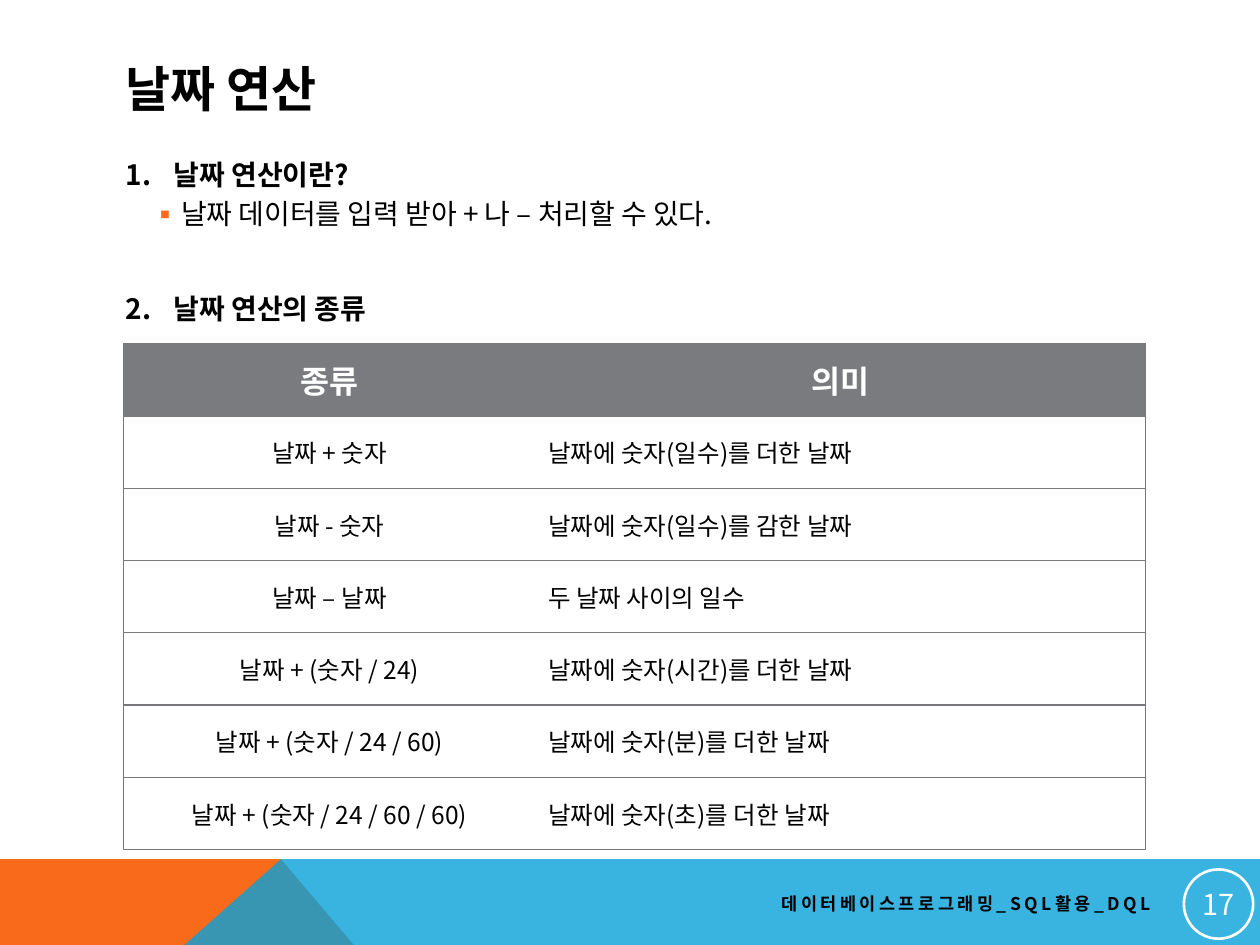
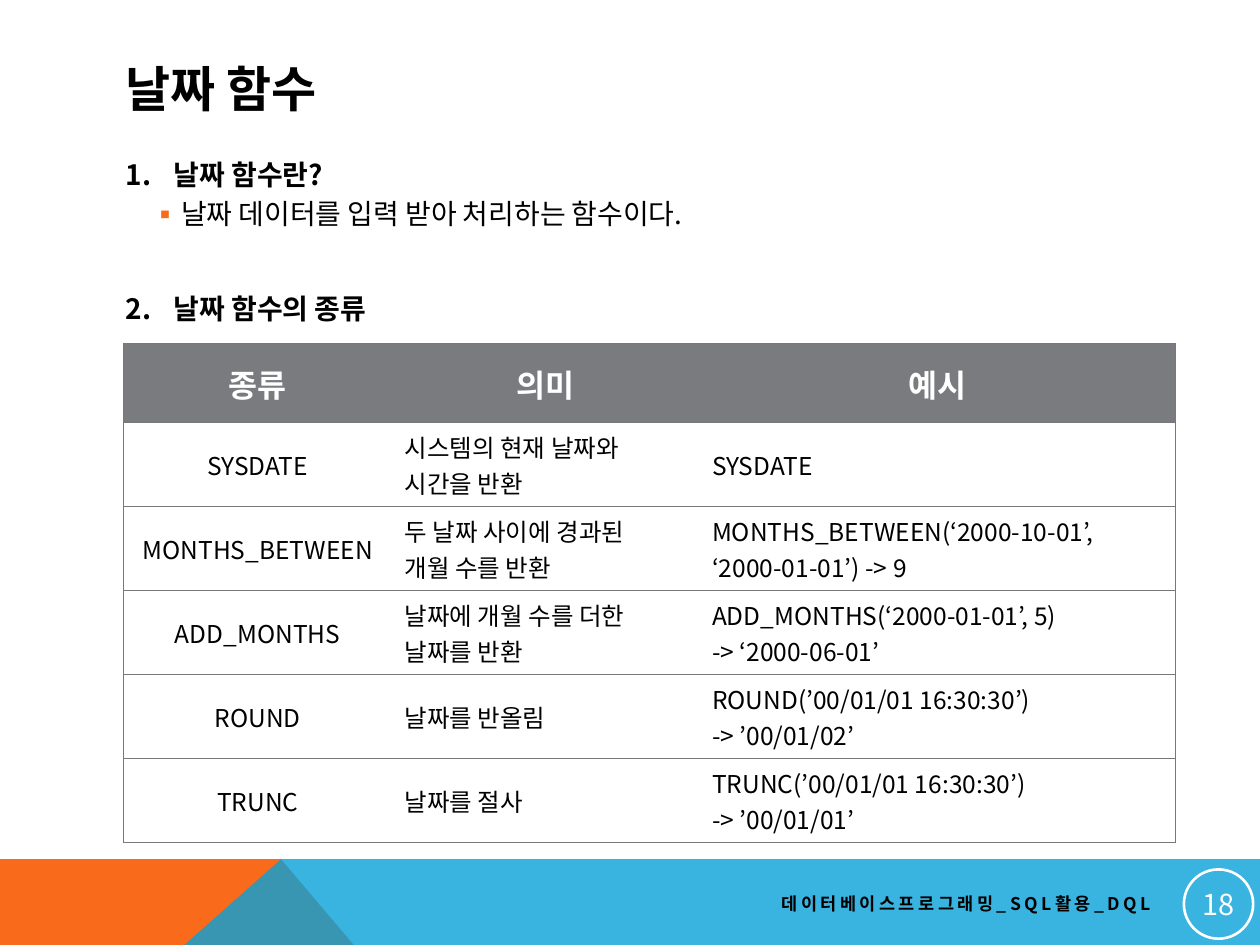
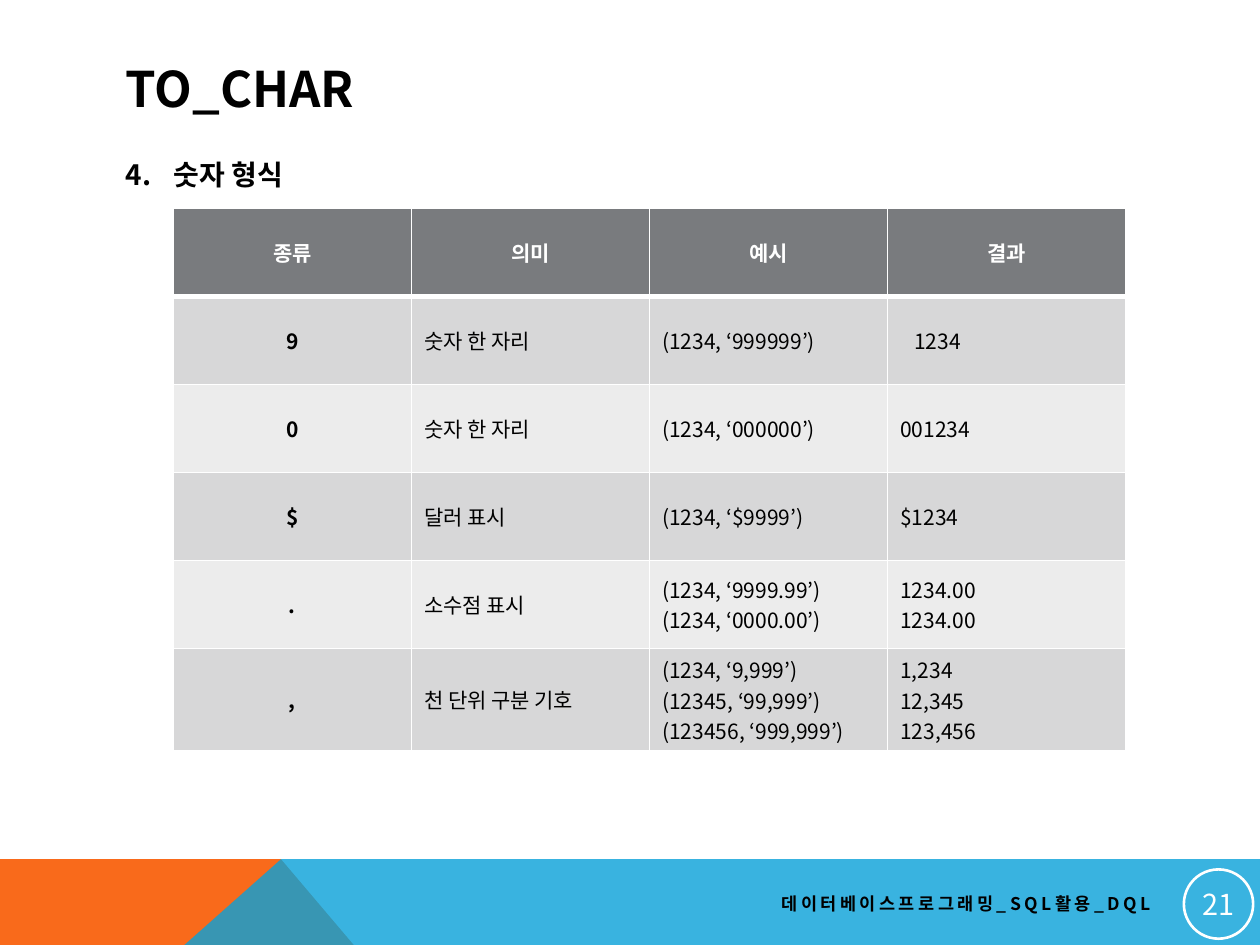
from dataclasses import dataclass

from lxml.etree import SubElement
from pptx import Presentation
from pptx.dml.color import RGBColor
from pptx.enum.shapes import MSO_SHAPE
from pptx.enum.text import MSO_ANCHOR, PP_ALIGN
from pptx.oxml.ns import qn
from pptx.util import Pt

FONT = "Noto Sans CJK KR"
BLACK, WHITE = "000000", "FFFFFF"
ORANGE, BLUE = "F96A1B", "08A1D9"
GRAY, RULE = "797B7E", "76787B"
BANDS = ("D7D7D8", "ECECEC")
NO_STYLE = "{2D5ABB26-0587-4C30-8999-92F81FD0307C}"
FOOTER = "데이터베이스프로그래밍_SQL활용_DQL"
LEFT, WIDTH = 64.8, 592
BAND_TOP, BAND_BOTTOM, BAND_PEAK = 491, 633.6, 160.6


@dataclass
class Item:
    """A body line: numbered, or a bullet when number is 0."""
    text: str
    number: int = 0
    before: float = 8


@dataclass
class Grid:
    """A table; in a cell, \\n starts a paragraph and \\v breaks a line."""
    left: float
    top: float
    cols: list[float]
    heights: list[float]
    rows: list[list[str]]
    head_size: float = 18
    size: float = 14
    banded: bool = False


@dataclass
class Page:
    """The content of one slide."""
    number: int
    title: str
    items: list[Item]
    grid: Grid


def rgb(value: str) -> RGBColor:
    """Turn a hex string into a colour."""
    return RGBColor.from_string(value)


def add_run(p, text: str, size: float, color: str = BLACK, bold: bool = False):
    """Add one formatted run to a paragraph."""
    r = p.add_run()
    r.text = text
    r.font.size, r.font.bold, r.font.name = Pt(size), bold, FONT
    r.font.color.rgb = rgb(color)
    SubElement(r._r.get_or_add_rPr(), qn("a:ea"), typeface=FONT)
    return r


def add_box(s, left: float, top: float, width: float, height: float,
            anchor=MSO_ANCHOR.MIDDLE):
    """Add a wrapping text box and return its text frame."""
    tf = s.shapes.add_textbox(Pt(left), Pt(top), Pt(width), Pt(height)).text_frame
    tf.word_wrap, tf.vertical_anchor = True, anchor
    return tf


def add_band(s, points: list[tuple[float, float]], color: str, opacity: int = 100):
    """Add a filled polygon without outline."""
    corners = [(Pt(x), Pt(y)) for x, y in points]
    builder = s.shapes.build_freeform(*corners[0], scale=1.0)
    builder.add_line_segments(corners[1:], close=True)
    sp = builder.convert_to_shape()
    sp.shadow.inherit = False
    sp.line.fill.background()
    sp.fill.solid()
    sp.fill.fore_color.rgb = rgb(color)
    if opacity < 100:
        clr = sp._element.spPr.find(qn("a:solidFill"))[0]
        SubElement(clr, qn("a:alpha"), val=str(opacity * 1000))


def add_frame(s, title: str, number: int) -> None:
    """Draw what all slides share: bands, title, footer and page number."""
    add_band(s, [(0, BAND_BOTTOM), (0, BAND_TOP), (BAND_PEAK, BAND_TOP),
                 (281.5, BAND_BOTTOM)], ORANGE)
    add_band(s, [(0, BAND_BOTTOM), (BAND_PEAK, BAND_TOP), (720, BAND_TOP),
                 (720, BAND_BOTTOM)], BLUE, 80)
    tf = add_box(s, LEFT, 28.8, WIDTH, 43.2)
    add_run(tf.paragraphs[0], title, 28, bold=True)

    p = add_box(s, 292.3, 505.4, 372.3, 21.6).paragraphs[0]
    p.alignment = PP_ALIGN.RIGHT
    r = add_run(p, FOOTER, 10, bold=True)
    r._r.get_or_add_rPr().set("spc", "200")

    sp = s.shapes.add_shape(MSO_SHAPE.OVAL, Pt(676.5), Pt(496.8), Pt(39.6), Pt(39.6))
    sp.shadow.inherit = False
    sp.fill.background()
    sp.line.color.rgb, sp.line.width = rgb(WHITE), Pt(1.5)
    tf = sp.text_frame
    tf.margin_left = tf.margin_right = tf.margin_top = tf.margin_bottom = Pt(0.7)
    tf.vertical_anchor = MSO_ANCHOR.MIDDLE
    p = tf.paragraphs[0]
    p.alignment = PP_ALIGN.CENTER
    add_run(p, str(number), 16.5, WHITE)


def set_indent(p, left: float, first: float = 0) -> None:
    """Set a paragraph's left margin and first line indent."""
    pPr = p._p.get_or_add_pPr()
    pPr.set("marL", str(Pt(left)))
    pPr.set("indent", str(Pt(first)))


def add_body(s, items: list[Item]) -> None:
    """Add the numbered headings and their bullets."""
    tf = add_box(s, LEFT, 86.4, WIDTH, 281.5, MSO_ANCHOR.TOP)
    for i, item in enumerate(items):
        p = tf.add_paragraph() if i else tf.paragraphs[0]
        p.line_spacing, p.space_before = 1.0, Pt(item.before)
        pPr = p._p.get_or_add_pPr()
        if item.number:
            set_indent(p, 27.4, -27.4)
            SubElement(pPr, qn("a:buFont"), typeface="+mj-lt")
            SubElement(pPr, qn("a:buAutoNum"), type="arabicPeriod",
                       startAt=str(item.number))
        else:
            p.level = 1
            set_indent(p, 31.7, -17.2)
            SubElement(SubElement(pPr, qn("a:buClr")), qn("a:srgbClr"), val=ORANGE)
            SubElement(pPr, qn("a:buFont"), typeface=FONT)
            SubElement(pPr, qn("a:buChar"), char="▪")
        add_run(p, item.text, 16, bold=item.number > 0)


def add_border(cell, side: str, color: str, width: float) -> None:
    """Draw one side (L, R, T or B) of a cell."""
    ln = SubElement(cell._tc.get_or_add_tcPr(), qn(f"a:ln{side}"), w=str(Pt(width)))
    SubElement(SubElement(ln, qn("a:solidFill")), qn("a:srgbClr"), val=color)


def add_borders(cell, row: int, col: int, grid: Grid) -> None:
    """Give a cell white gaps in a banded table, gray rules in a plain one."""
    for side in "LRTB":
        if grid.banded:
            under_head = (row, side) in ((0, "B"), (1, "T"))
            add_border(cell, side, WHITE, 3 if under_head else 1)
        elif (side in "TB" or (side == "L" and col == 0)
              or (side == "R" and col == len(grid.cols) - 1)):
            add_border(cell, side, RULE, 0.75)


def fill_cell(cell, text: str, row: int, col: int, grid: Grid) -> None:
    """Write and colour one cell."""
    head = row == 0
    add_borders(cell, row, col, grid)
    if head or grid.banded:
        cell.fill.solid()
        cell.fill.fore_color.rgb = rgb(GRAY if head else BANDS[(row - 1) % 2])
    cell.vertical_anchor = MSO_ANCHOR.MIDDLE
    tf = cell.text_frame
    for i, para in enumerate(text.split("\n")):
        p = tf.add_paragraph() if i else tf.paragraphs[0]
        p.alignment = PP_ALIGN.CENTER if head or col == 0 else PP_ALIGN.LEFT
        for j, line in enumerate(para.split("\v")):
            if j:
                p.add_line_break()
            add_run(p, line, grid.head_size if head else grid.size,
                    WHITE if head else BLACK, head or (grid.banded and col == 0))


def add_grid(s, grid: Grid):
    """Add a table and return it."""
    table = s.shapes.add_table(
        len(grid.rows), len(grid.cols), Pt(grid.left), Pt(grid.top),
        Pt(sum(grid.cols)), Pt(sum(grid.heights))).table
    table.first_row = table.horz_banding = False
    table._tbl.tblPr.find(qn("a:tableStyleId")).text = NO_STYLE
    for column, width in zip(table.columns, grid.cols):
        column.width = Pt(width)
    for i, (texts, height) in enumerate(zip(grid.rows, grid.heights)):
        table.rows[i].height = Pt(height)
        for j, text in enumerate(texts):
            fill_cell(table.cell(i, j), text, i, j, grid)
    return table


def add_page(prs, page: Page):
    """Build one slide and return its table."""
    s = prs.slides.add_slide(prs.slide_layouts[6])
    add_frame(s, page.title, page.number)
    add_body(s, page.items)
    return add_grid(s, page.grid)


ARITHMETIC = Page(
    17, "날짜 연산",
    [Item("날짜 연산이란?", 1),
     Item("날짜 데이터를 입력 받아 + 나 – 처리할 수 있다.", before=3),
     Item("날짜 연산의 종류", 2, before=35)],
    Grid(70.6, 196.5, [235.4, 348.5], [41.3] * 7, [
        ["종류", "의미"],
        ["날짜 + 숫자", "날짜에 숫자(일수)를 더한 날짜"],
        ["날짜 - 숫자", "날짜에 숫자(일수)를 감한 날짜"],
        ["날짜 – 날짜", "두 날짜 사이의 일수"],
        ["날짜 + (숫자 / 24)", "날짜에 숫자(시간)를 더한 날짜"],
        ["날짜 + (숫자 / 24 / 60)", "날짜에 숫자(분)를 더한 날짜"],
        ["날짜 + (숫자 / 24 / 60 / 60)", "날짜에 숫자(초)를 더한 날짜"],
    ]))

FUNCTIONS = Page(
    18, "날짜 함수",
    [Item("날짜 함수란?", 1),
     Item("날짜 데이터를 입력 받아 처리하는 함수이다.", before=3),
     Item("날짜 함수의 종류", 2, before=35)],
    Grid(70.6, 196.5, [153.4, 175.7, 272.1], [45.1] + [48] * 5, [
        ["종류", "의미", "예시"],
        ["SYSDATE", "시스템의 현재 날짜와\v시간을 반환", "SYSDATE"],
        ["MONTHS_BETWEEN", "두 날짜 사이에 경과된\v개월 수를 반환",
         "MONTHS_BETWEEN(‘2000-10-01’, ‘2000-01-01’) -> 9"],
        ["ADD_MONTHS", "날짜에 개월 수를 더한 \v날짜를 반환",
         "ADD_MONTHS(‘2000-01-01’, 5)\n-> ‘2000-06-01’"],
        ["ROUND", "날짜를 반올림", "ROUND(’00/01/01 16:30:30’)\n-> ’00/01/02’"],
        ["TRUNC", "날짜를 절사", "TRUNC(’00/01/01 16:30:30’)\n-> ’00/01/01’"],
    ]))

NUMBER_FORMATS = Page(
    21, "TO_CHAR", [Item("숫자 형식", 4)],
    Grid(99, 119, [136.1] * 4, [50.3] * 5 + [58.8], [
        ["종류", "의미", "예시", "결과"],
        ["9", "숫자 한 자리", "(1234, ‘999999’)", "1234"],
        ["0", "숫자 한 자리", "(1234, ‘000000’)", "001234"],
        ["$", "달러 표시", "(1234, ‘$9999’)", "$1234"],
        [".", "소수점 표시", "(1234, ‘9999.99’)\n(1234, ‘0000.00’)",
         "1234.00\n1234.00"],
        [",", "천 단위 구분 기호",
         "(1234, ‘9,999’)\n(12345, ‘99,999’)\n(123456, ‘999,999’)",
         "1,234\n12,345\n123,456"],
    ], head_size=12, size=12, banded=True))


prs = Presentation()
prs.slide_width, prs.slide_height = Pt(720), Pt(540)
add_page(prs, ARITHMETIC)
add_page(prs, FUNCTIONS)
formats = add_page(prs, NUMBER_FORMATS)
set_indent(formats.cell(1, 3).text_frame.paragraphs[0], 8)
prs.save("out.pptx")
